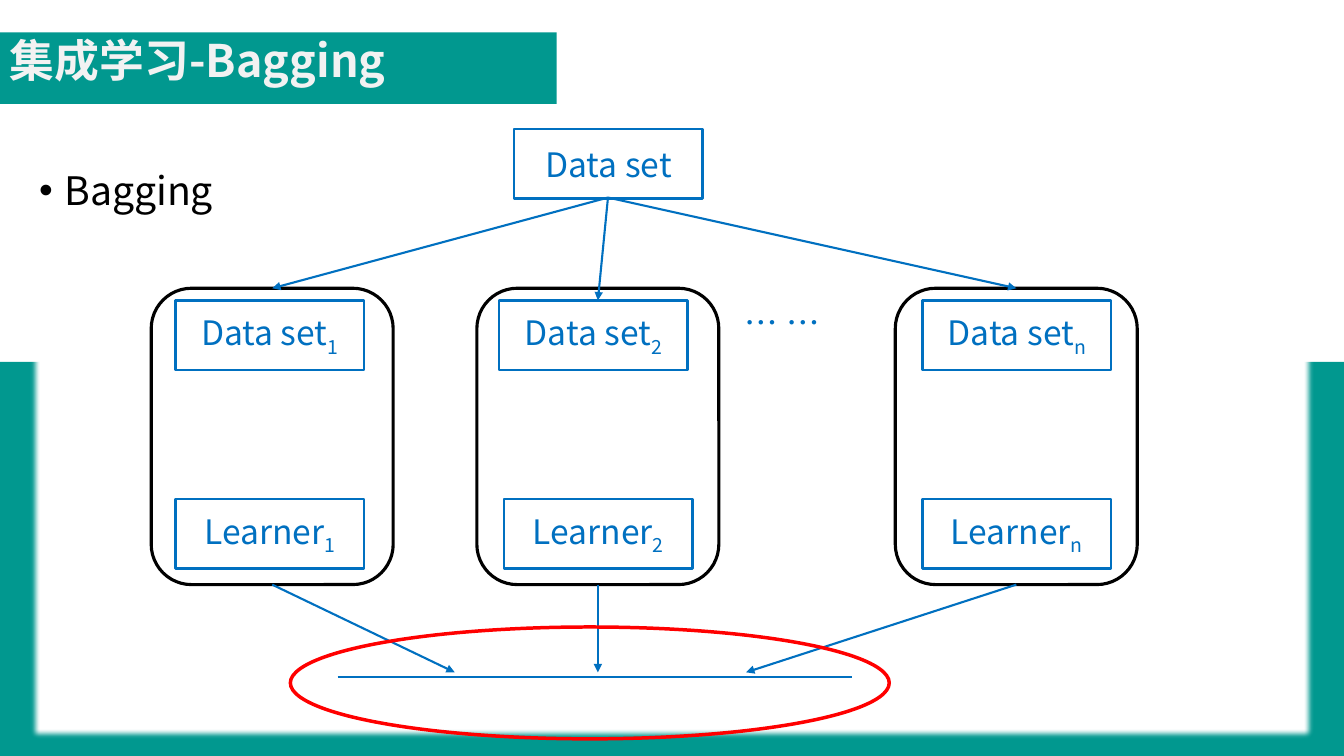
from lxml import etree
from pptx import Presentation
from pptx.dml.color import RGBColor
from pptx.enum.shapes import MSO_CONNECTOR, MSO_SHAPE
from pptx.enum.text import MSO_ANCHOR, PP_ALIGN
from pptx.oxml.ns import qn
from pptx.util import Inches, Pt

RECTANGLE, ROUNDED, OVAL = MSO_SHAPE.RECTANGLE, MSO_SHAPE.ROUNDED_RECTANGLE, MSO_SHAPE.OVAL
STRAIGHT = MSO_CONNECTOR.STRAIGHT
TOP, MIDDLE = MSO_ANCHOR.TOP, MSO_ANCHOR.MIDDLE
LEFT, CENTER = PP_ALIGN.LEFT, PP_ALIGN.CENTER

TEAL = RGBColor(0x01, 0x98, 0x8F)
BLUE = RGBColor(0x00, 0x70, 0xC0)
RED = RGBColor(0xFF, 0x00, 0x00)
BLACK = RGBColor(0x00, 0x00, 0x00)
WHITE = RGBColor(0xFF, 0xFF, 0xFF)
PALE = RGBColor(0xF2, 0xF2, 0xF2)
FONT = "Noto Sans CJK SC"

LABEL_WIDTH, LABEL_HEIGHT = 1.87, 0.69
FRAME_TOP, FRAME_WIDTH, FRAME_HEIGHT = 2.86, 2.4, 2.94
SOURCE_BOX = (5.1, 1.28, LABEL_WIDTH, LABEL_HEIGHT)
SOURCE_EXIT = (6.03, 1.96)
RESULT_TOP = 6.67
COLUMNS = [
    dict(index="1", left=1.5, data_left=1.74, learner_left=1.74, entry=2.86, result=4.51),
    dict(index="2", left=4.73, data_left=4.95, learner_left=5, entry=2.98, result=5.93),
    dict(index="n", left=8.88, data_left=9.15, learner_left=9.15, entry=2.86, result=7.4),
]


def add_box(page, kind, box, fill=None, line=None, weight=1.75):
    """Add a preset shape with the given fill and outline."""
    shape = page.shapes.add_shape(kind, *map(Inches, box))
    shape.shadow.inherit = False
    if fill is None:
        shape.fill.background()
    else:
        shape.fill.solid()
        shape.fill.fore_color.rgb = fill
    if line is None:
        shape.line.fill.background()
    else:
        shape.line.color.rgb = line
        shape.line.width = Pt(weight)
    return shape


def write_text(shape, text, subscript="", size=24, color=BLUE, bold=False,
               align=CENTER, anchor=MIDDLE, spacing=1.0):
    """Write one paragraph with an optional subscript and return it."""
    frame = shape.text_frame
    frame.word_wrap = True
    frame.vertical_anchor = anchor
    para = frame.paragraphs[0]
    para.alignment = align
    para.line_spacing = spacing
    for words, baseline in ((text, None), (subscript, "-25000")):
        if not words:
            continue
        span = para.add_run()
        span.text = words
        span.font.size = Pt(size)
        span.font.bold = bold
        span.font.color.rgb = color
        span.font.name = FONT
        properties = span.font._element
        etree.SubElement(properties, qn("a:ea")).set("typeface", FONT)
        if baseline:
            properties.set("baseline", baseline)
    return para


def add_label(page, left, top, text, subscript=""):
    """Add a blue outlined label."""
    label = add_box(page, RECTANGLE, (left, top, LABEL_WIDTH, LABEL_HEIGHT), line=BLUE)
    write_text(label, text, subscript)


def add_line(page, start, end, arrow=True):
    """Add a blue line, with an arrowhead at its end if wanted."""
    points = map(Inches, (*start, *end))
    connector = page.shapes.add_connector(STRAIGHT, *points)
    connector.line.color.rgb = BLUE
    connector.line.width = Pt(1.5)
    if arrow:
        outline = connector.line._get_or_add_ln()
        etree.SubElement(outline, qn("a:tailEnd")).set("type", "triangle")
    etree.SubElement(connector._element.spPr, qn("a:effectLst"))


def add_heading(page, box):
    """Add the teal banner and the title over it."""
    left, top, width, height = box
    add_box(page, RECTANGLE, box, fill=TEAL)
    title = page.shapes.add_textbox(*map(Inches, (left, top - 0.3, 11.5, height + 0.5)))
    write_text(title, "集成学习-Bagging", size=32, color=PALE, bold=True, align=LEFT, spacing=0.9)


def add_panel(page, box):
    """Add the soft-edged white panel with its bullet."""
    panel = add_box(page, RECTANGLE, box, fill=WHITE)
    effects = panel._element.spPr.find(qn("a:effectLst"))
    etree.SubElement(effects, qn("a:softEdge")).set("rad", str(Pt(5)))
    para = write_text(panel, "Bagging", size=28, color=BLACK, align=LEFT, anchor=TOP, spacing=1.5)
    para.space_before = Pt(10)
    properties = para._p.get_or_add_pPr()
    properties.set("marL", str(Inches(0.25)))
    properties.set("indent", str(Inches(-0.25)))
    etree.SubElement(properties, qn("a:buFont")).set("typeface", "Arial")
    etree.SubElement(properties, qn("a:buChar")).set("char", "•")


def add_column(page, box, column):
    """Add one framed pair of data set and learner with its arrows."""
    left, top, width, height = box
    center = left + width / 2
    add_label(page, column["data_left"], top + 0.12, "Data set", column["index"])
    add_label(page, column["learner_left"], top + 2.09, "Learner", column["index"])
    add_box(page, ROUNDED, box, line=BLACK, weight=2.25)
    add_line(page, SOURCE_EXIT, (center, column["entry"]))
    add_line(page, (center, top + height), (column["result"], RESULT_TOP))


def add_result(page, box):
    """Add the result line circled in red."""
    left, top, width, height = box
    level = top + 0.5
    add_line(page, (left + 0.47, level), (left + 5.57, level), arrow=False)
    add_box(page, OVAL, box, line=RED, weight=2.5)


def main():
    """Build the slide and save it."""
    deck = Presentation()
    deck.slide_width, deck.slide_height = Inches(13.33), Inches(7.5)
    page = deck.slides.add_slide(deck.slide_layouts[6])
    add_box(page, RECTANGLE, (0, 3.59, 13.33, 3.91), fill=TEAL)
    add_heading(page, (0, 0.32, 5.52, 0.71))
    add_panel(page, (0.29, 1.37, 12.76, 5.98))
    add_label(page, *SOURCE_BOX[:2], "Data set")
    for column in COLUMNS:
        add_column(page, (column["left"], FRAME_TOP, FRAME_WIDTH, FRAME_HEIGHT), column)
    dots = page.shapes.add_textbox(*map(Inches, (7.29, 2.95, 2.21, 0.5)))
    write_text(dots, "… …", align=LEFT, anchor=TOP)
    add_result(page, (2.88, 6.22, 5.94, 1.11))
    deck.save("out.pptx")


if __name__ == "__main__":
    main()
